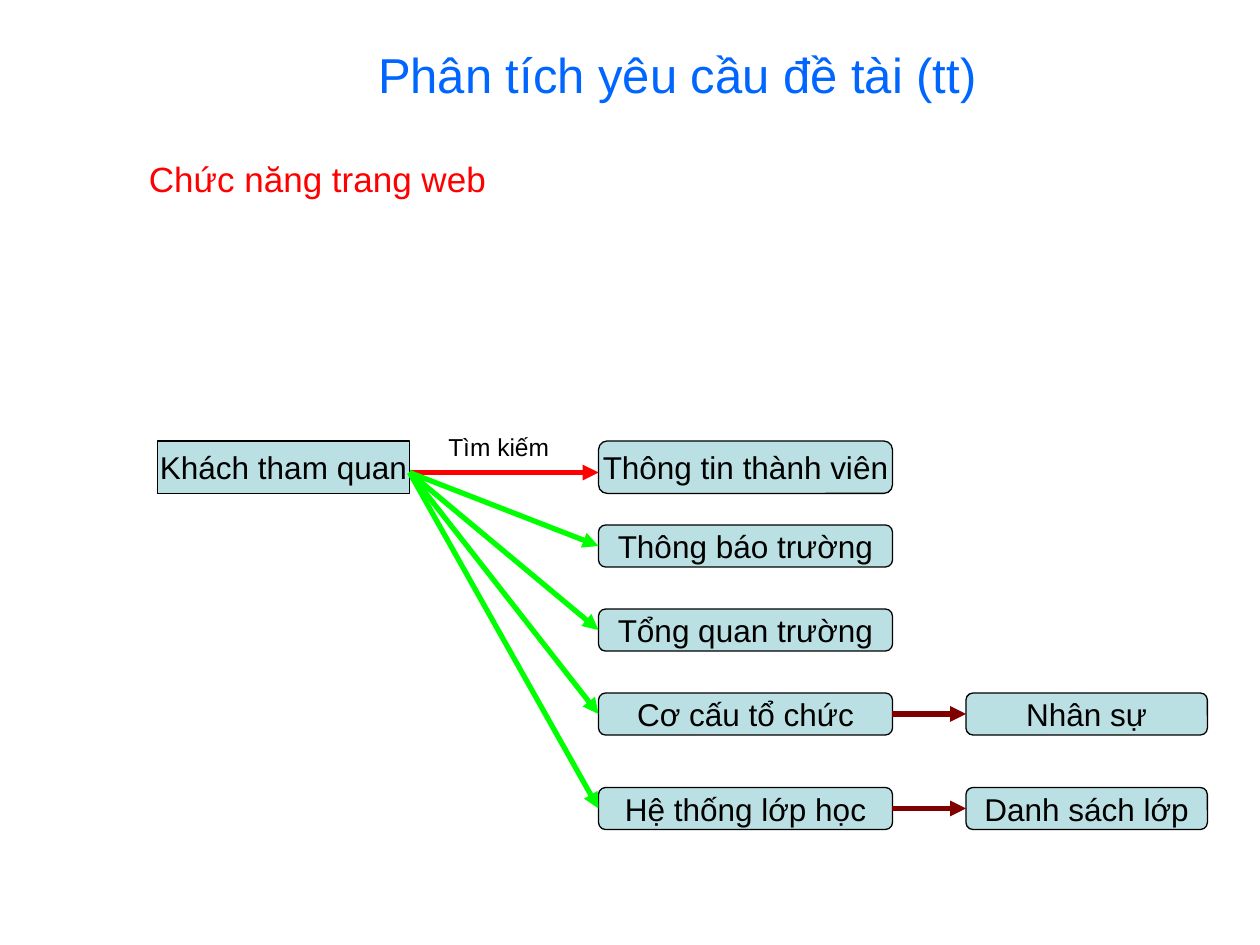
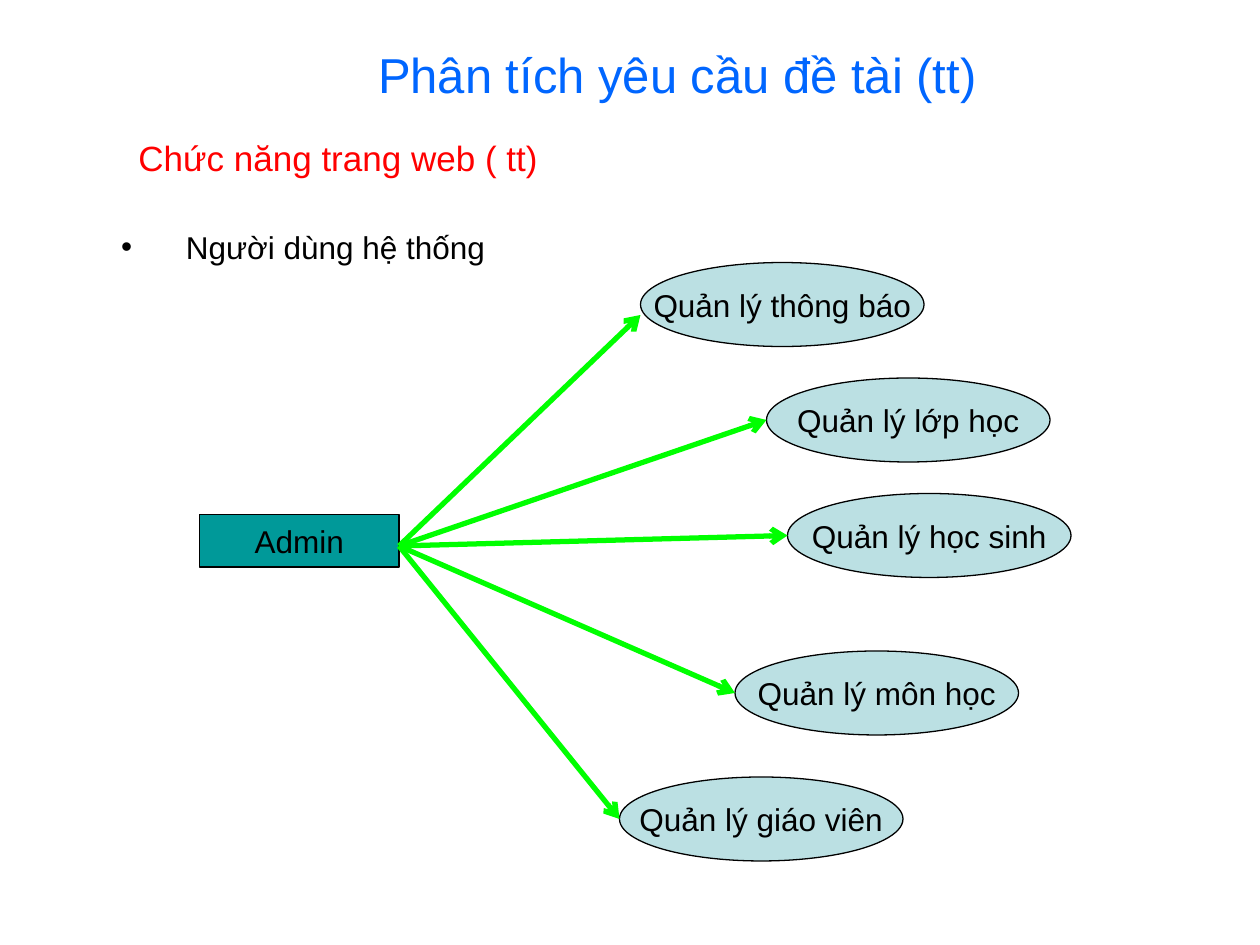
from typing import NamedTuple

from pptx import Presentation
from pptx import util as u
from pptx.dml.color import RGBColor
from pptx.enum import shapes, text
from pptx.oxml import ns, xmlchemy

Pt = u.Pt
FONT = "Arial"
BLACK, BLUE, RED = "000000", "0066FF", "FF0000"
GREEN, MAROON = "00FF00", "800000"
PALE, TEAL = "BBE0E3", "009999"
RECT = shapes.MSO_SHAPE.RECTANGLE
ROUNDED = shapes.MSO_SHAPE.ROUNDED_RECTANGLE
OVAL = shapes.MSO_SHAPE.OVAL
LEFT, CENTER = text.PP_ALIGN.LEFT, text.PP_ALIGN.CENTER
TITLE = "Phân tích yêu cầu đề tài (tt)"
TITLE_ONLY, TITLE_AND_BODY = 5, 1
TOP_SIDE, LEFT_SIDE, BOTTOM_SIDE, RIGHT_SIDE = range(4)


class Frame(NamedTuple):
    left: float
    top: float
    width: float
    height: float

    def lengths(self) -> list:
        return [Pt(value) for value in self]


class Node(NamedTuple):
    label: str
    frame: Frame
    kind: int = ROUNDED
    fill: str = PALE


class Point(NamedTuple):
    x: float
    y: float


def color(value: str) -> RGBColor:
    return RGBColor.from_string(value)


def write(box, words: str, size: float, ink: str, align=CENTER, wrap: bool = True) -> None:
    frame = box.text_frame
    frame.text = words
    frame.auto_size = text.MSO_AUTO_SIZE.NONE
    frame.word_wrap = wrap
    frame.vertical_anchor = text.MSO_ANCHOR.MIDDLE
    para = frame.paragraphs[0]
    para.alignment = align
    para.space_before = Pt(0)
    para.font.name = FONT
    para.font.size = Pt(size)
    para.font.color.rgb = color(ink)


def place(box, frame: Frame) -> None:
    box.left, box.top, box.width, box.height = frame.lengths()


def add_page(deck, layout: int, heading: str, heading_frame: Frame):
    page = deck.slides.add_slide(deck.slide_layouts[layout])
    place(page.shapes.title, Frame(102, 12, 570, 60))
    write(page.shapes.title, TITLE, 28, BLUE)
    box = page.shapes.add_textbox(*heading_frame.lengths())
    write(box, heading, 20, RED, LEFT)
    return page


def add_node(page, node: Node):
    box = page.shapes.add_shape(node.kind, *node.frame.lengths())
    box.shadow.inherit = False
    box.fill.solid()
    box.fill.fore_color.rgb = color(node.fill)
    box.line.color.rgb = color(BLACK)
    box.line.width = Pt(0.75)
    write(box, node.label, 18, BLACK, wrap=False)
    return box


def add_arrow(page, start: Point, end: Point, ink: str, head: str = "triangle"):
    ends = [Pt(value) for value in (*start, *end)]
    arrow = page.shapes.add_connector(shapes.MSO_CONNECTOR.STRAIGHT, *ends)
    arrow.line.color.rgb = color(ink)
    arrow.line.width = Pt(3)
    properties = arrow.element.spPr
    tail = xmlchemy.OxmlElement("a:tailEnd")
    tail.set("type", head)
    properties.find(ns.qn("a:ln")).append(tail)
    properties.append(xmlchemy.OxmlElement("a:effectLst"))
    return arrow


def left_middle(frame: Frame) -> Point:
    return Point(frame.left, frame.top + frame.height / 2)


def right_middle(frame: Frame) -> Point:
    return Point(frame.left + frame.width, frame.top + frame.height / 2)


def build_visitor_page(deck) -> None:
    page = add_page(deck, TITLE_ONLY, "Chức năng trang web", Frame(78, 72, 570, 60))
    add_node(page, Node("Khách tham quan", Frame(90, 252, 144, 30), RECT))
    add_node(page, Node("Thông tin thành viên", Frame(342, 252, 168, 30)))
    origin = Point(234, 270)
    add_arrow(page, origin, Point(342, 270), RED)
    caption = page.shapes.add_textbox(*Frame(240, 246, 90, 18).lengths())
    write(caption, "Tìm kiếm", 14, BLACK, wrap=False)

    rows = [
        (300, "Thông báo trường", None),
        (348, "Tổng quan trường", None),
        (396, "Cơ cấu tổ chức", "Nhân sự"),
        (450, "Hệ thống lớp học", "Danh sách lớp"),
    ]
    for top, section, detail in rows:
        frame = Frame(342, top, 168, 24)
        section_box = add_node(page, Node(section, frame))
        arrow = add_arrow(page, origin, left_middle(frame), GREEN)
        arrow.end_connect(section_box, LEFT_SIDE)
        if detail:
            detail_frame = Frame(552, top, 138, 24)
            detail_box = add_node(page, Node(detail, detail_frame))
            arrow = add_arrow(page, right_middle(frame), left_middle(detail_frame), MAROON)
            arrow.begin_connect(section_box, RIGHT_SIDE)
            arrow.end_connect(detail_box, LEFT_SIDE)


def build_admin_page(deck) -> None:
    page = add_page(deck, TITLE_AND_BODY, "Chức năng trang web ( tt)", Frame(72, 66, 384, 48))
    body = page.placeholders[1]
    place(body, Frame(62, 126, 230, 30))
    write(body, "Người dùng hệ thống", 18, BLACK, LEFT)
    properties = body.element.find(".//" + ns.qn("a:pPr"))
    properties.set("marL", str(Pt(37)))
    properties.set("indent", str(-Pt(37)))

    add_node(page, Node("Admin", Frame(114, 294, 114, 30), RECT, TEAL))
    tasks = [
        ("Quản lý thông báo", 366, 150, 180),
        ("Quản lý lớp học", 438, 216, 240),
        ("Quản lý học sinh", 450, 282, 306),
        ("Quản lý môn học", 420, 372, 396),
        ("Quản lý giáo viên", 354, 444, 468),
    ]
    for label, left, top, arrow_y in tasks:
        add_node(page, Node(label, Frame(left, top, 162, 48), OVAL))
        add_arrow(page, Point(228, 312), Point(left, arrow_y), GREEN, "arrow")


def main() -> None:
    deck = Presentation()
    deck.slide_width, deck.slide_height = Pt(720), Pt(540)
    build_visitor_page(deck)
    build_admin_page(deck)
    deck.save("out.pptx")


if __name__ == "__main__":
    main()
